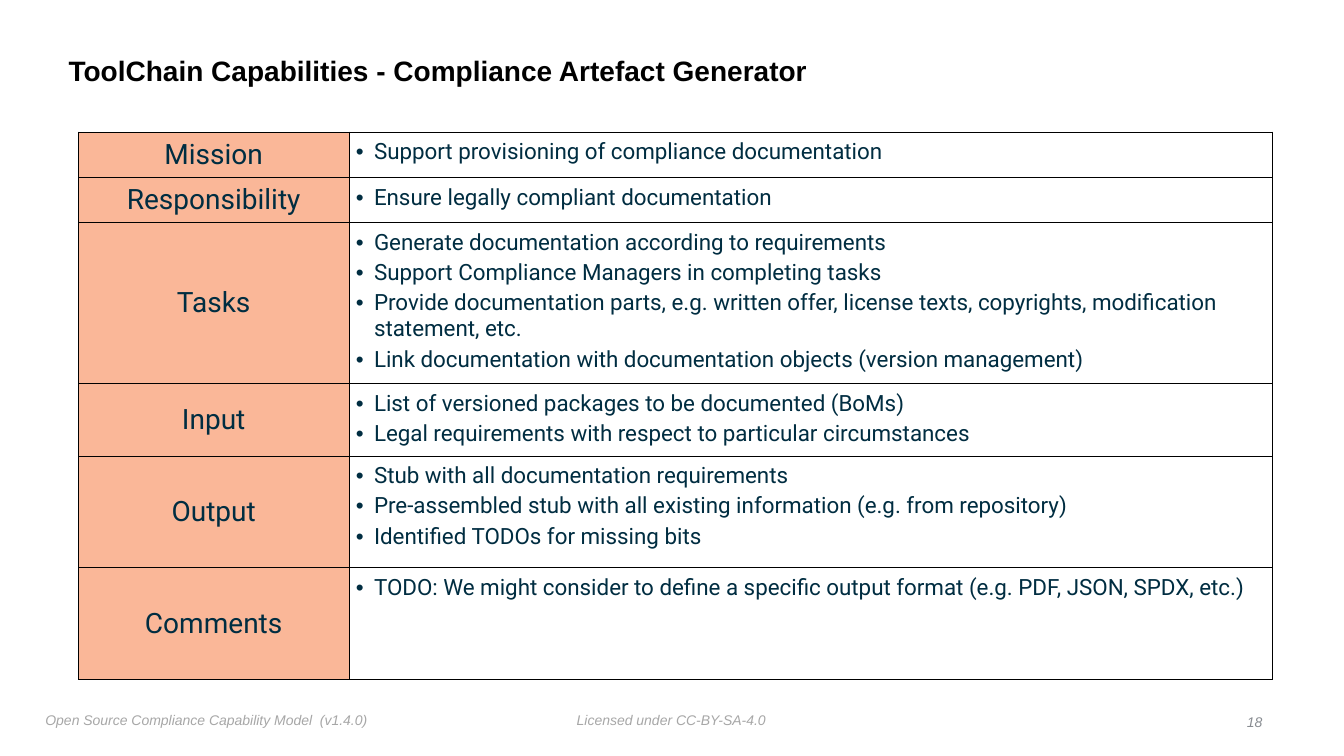
import pptx
import pptx.dml.color
import pptx.enum.text
import pptx.oxml
import pptx.oxml.ns
import pptx.util

Inches = pptx.util.Inches
Pt = pptx.util.Pt
RGBColor = pptx.dml.color.RGBColor
ALIGN = pptx.enum.text.PP_ALIGN
ANCHOR = pptx.enum.text.MSO_ANCHOR

BLACK = RGBColor(0x00, 0x00, 0x00)
NAVY = RGBColor(0x00, 0x2D, 0x41)
PEACH = RGBColor(0xFA, 0xB7, 0x98)
FOOTER_GREY = RGBColor(0xA7, 0xA7, 0xA7)
NUMBER_GREY = RGBColor(0x88, 0x8C, 0x91)

CAPABILITIES = [
    ("Mission", 0.45, ["Support provisioning of compliance documentation"]),
    ("Responsibility", 0.45, ["Ensure legally compliant documentation"]),
    ("Tasks", 1.56, [
        "Generate documentation according to requirements",
        "Support Compliance Managers in completing tasks",
        "Provide documentation parts, e.g. written offer, license texts, "
        "copyrights, modification statement, etc.",
        "Link documentation with documentation objects (version management)",
    ]),
    ("Input", 0.69, [
        "List of versioned packages to be documented (BoMs)",
        "Legal requirements with respect to particular circumstances",
    ]),
    ("Output", 1.11, [
        "Stub with all documentation requirements",
        "Pre-assembled stub with all existing information (e.g. from repository)",
        "Identified TODOs for missing bits",
    ]),
    ("Comments", 1.11, [
        "TODO: We might consider to define a specific output format "
        "(e.g. PDF, JSON, SPDX, etc.)",
    ]),
]


def style_font(paragraph, name, size, color, bold=False, italic=False):
    font = paragraph.font
    font.name = name
    font.size = Pt(size)
    font.color.rgb = color
    font.bold = bold
    font.italic = italic


def set_margins(holder, margin):
    holder.margin_left = holder.margin_right = Inches(margin)
    holder.margin_top = holder.margin_bottom = Inches(margin)


def place_title(slide, text):
    title = slide.shapes.title
    title.left, title.top = Inches(0.63), Inches(0.39)
    title.width, title.height = Inches(10.75), Inches(0.65)
    frame = title.text_frame
    frame.text = text
    frame.word_wrap = True
    frame.auto_size = pptx.enum.text.MSO_AUTO_SIZE.NONE
    frame.vertical_anchor = ANCHOR.MIDDLE
    set_margins(frame, 0.05)
    heading = frame.paragraphs[0]
    heading.alignment = ALIGN.LEFT
    heading.line_spacing = 0.9
    style_font(heading, "Arial", 20, BLACK, bold=True)


def add_footer(slide, text, left, top, width, color, alignment=ALIGN.LEFT):
    footer = slide.shapes.add_textbox(
        Inches(left), Inches(top), Inches(width), Inches(0.25))
    frame = footer.text_frame
    frame.text = text
    frame.word_wrap = False
    set_margins(frame, 0.05)
    frame.paragraphs[0].alignment = alignment
    style_font(frame.paragraphs[0], "Arial", 10, color, italic=True)


def add_borders(cell):
    properties = cell._tc.get_or_add_tcPr()
    for side in ("lnL", "lnR", "lnT", "lnB"):
        properties.append(pptx.oxml.parse_xml(
            f'<a:{side} {pptx.oxml.ns.nsdecls("a")} w="{Pt(0.5)}">'
            f'<a:solidFill><a:srgbClr val="{BLACK}"/></a:solidFill></a:{side}>'))


def add_bullet(paragraph):
    properties = paragraph._p.get_or_add_pPr()
    properties.set("marL", str(Inches(0.18)))
    properties.set("indent", str(Inches(-0.18)))
    for tag in ('buFont typeface="Arial"', 'buChar char="•"'):
        name, attribute = tag.split(" ")
        properties.append(pptx.oxml.parse_xml(
            f'<a:{name} {pptx.oxml.ns.nsdecls("a")} {attribute}/>'))


def fill_label(cell, label):
    add_borders(cell)
    cell.fill.solid()
    cell.fill.fore_color.rgb = PEACH
    cell.vertical_anchor = ANCHOR.MIDDLE
    set_margins(cell, 0)
    cell.text = label
    paragraph = cell.text_frame.paragraphs[0]
    paragraph.alignment = ALIGN.CENTER
    style_font(paragraph, "Roboto", 20, NAVY)


def fill_details(cell, details):
    add_borders(cell)
    cell.fill.background()
    set_margins(cell, 0.07)
    cell.text = "\n".join(details)
    for paragraph in cell.text_frame.paragraphs:
        paragraph.space_before = Pt(3)
        add_bullet(paragraph)
        style_font(paragraph, "Roboto", 16, NAVY)


def add_capability_table(slide):
    table = slide.shapes.add_table(
        len(CAPABILITIES), 2, Inches(0.78), Inches(1.31),
        Inches(11.84), Inches(5.37)).table
    table.first_row = False
    table.horz_banding = False
    table.columns[0].width = Inches(2.68)
    table.columns[1].width = Inches(9.16)
    for index, (label, height, details) in enumerate(CAPABILITIES):
        table.rows[index].height = Inches(height)
        fill_label(table.cell(index, 0), label)
        fill_details(table.cell(index, 1), details)


def main():
    deck = pptx.Presentation()
    deck.slide_width, deck.slide_height = Inches(13.33), Inches(7.5)
    slide = deck.slides.add_slide(deck.slide_layouts[5])
    add_footer(slide, "Licensed under CC-BY-SA-4.0", 5.67, 7.01, 1.99, FOOTER_GREY)
    add_footer(slide, "Open Source Compliance Capability Model  (v1.4.0)",
               0.4, 7.01, 3.32, FOOTER_GREY)
    place_title(slide, "ToolChain Capabilities - Compliance Artefact Generator")
    add_capability_table(slide)
    add_footer(slide, "18", 12.3, 7.03, 0.27, NUMBER_GREY, ALIGN.RIGHT)
    deck.save("out.pptx")


if __name__ == "__main__":
    main()
